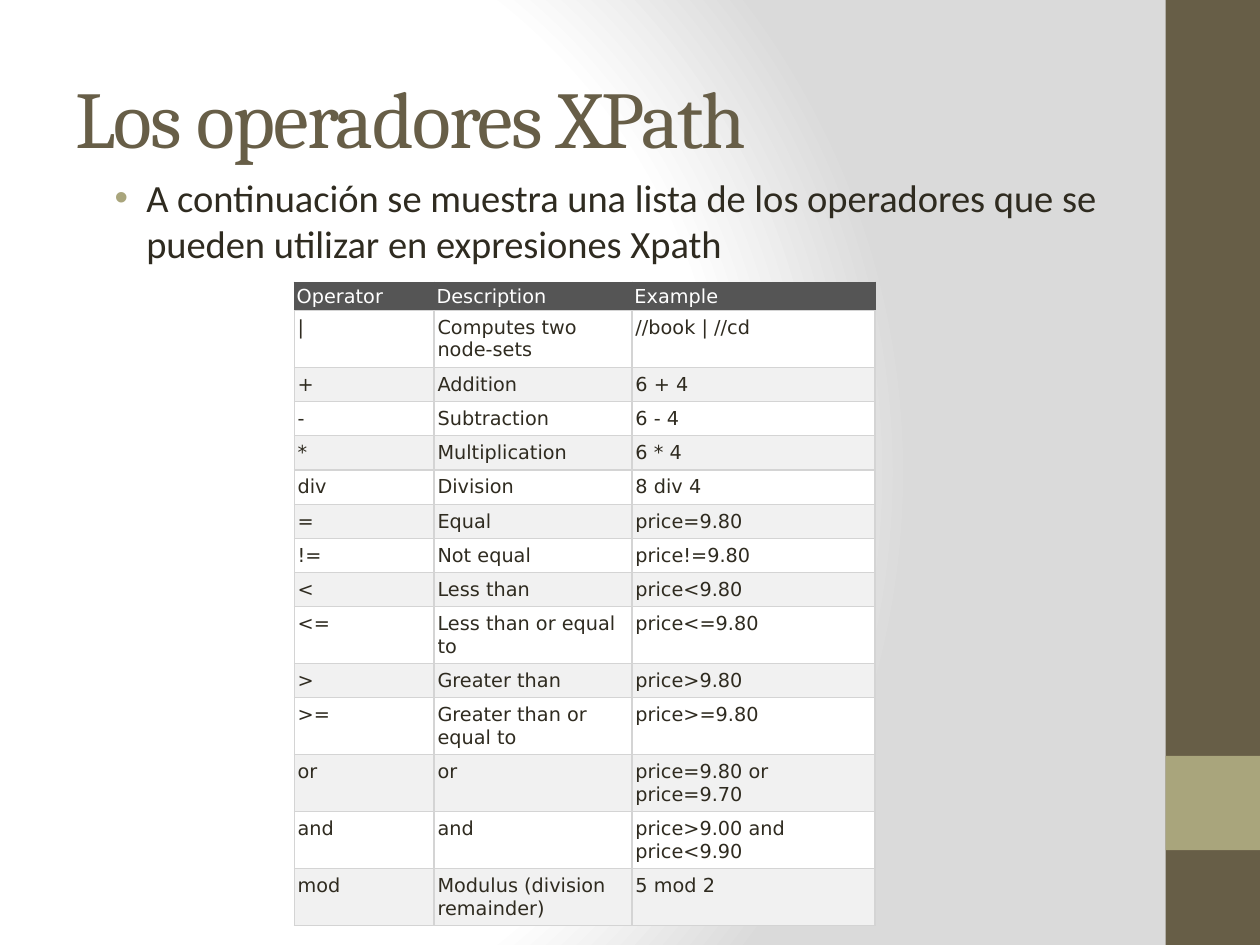
from dataclasses import dataclass

from pptx import Presentation
from pptx.dml.color import RGBColor
from pptx.enum.shapes import MSO_SHAPE
from pptx.enum.text import MSO_ANCHOR
from pptx.oxml import parse_xml
from pptx.oxml.ns import nsdecls, qn
from pptx.util import Cm, Pt

RECT = MSO_SHAPE.RECTANGLE
TOP, MIDDLE = MSO_ANCHOR.TOP, MSO_ANCHOR.MIDDLE


@dataclass(frozen=True)
class Theme:
    brown: str = "675E47"
    olive: str = "A9A57C"
    ink: str = "2F2B20"
    white: str = "FFFFFF"
    backdrop: str = "DADADA"
    header: str = "555555"
    band: str = "F1F1F1"
    border: str = "D4D4D4"
    title_font: str = "Cambria"
    body_font: str = "Calibri"
    table_font: str = "DejaVu Sans"
    title_size: float = 46
    body_size: float = 22
    table_size: float = 11


def xml(tag, content):
    """Parse one DrawingML element, given its opening tag and its content."""
    name = tag.split()[0]
    return parse_xml(f"<a:{tag} {nsdecls('a')}>{content}</a:{name}>")


def color_xml(color):
    return f'<a:srgbClr val="{color}"/>'


class SlideBuilder:
    def __init__(self, slide, theme):
        self.s = slide
        self.theme = theme

    def background(self, stops):
        self.s.background.fill.gradient()
        grad = self.s.element.find(".//" + qn("a:gradFill"))
        for child in list(grad):
            grad.remove(child)
        grad.append(xml("gsLst", "".join(
            f'<a:gs pos="{pos * 1000}">{color_xml(color)}</a:gs>'
            for pos, color in stops)))
        grad.append(xml('path path="circle"',
                        '<a:fillToRect l="20000" t="50000" r="100000" b="50000"/>'))

    def block(self, box, color):
        sp = self.s.shapes.add_shape(RECT, *map(Cm, box))
        sp.shadow.inherit = False
        sp.fill.solid()
        sp.fill.fore_color.rgb = RGBColor.from_string(color)
        sp.line.fill.background()

    def format_runs(self, p, font, size, color):
        for r in p.runs:
            r.font.name = font
            r.font.size = Pt(size)
            r.font.color.rgb = RGBColor.from_string(color)

    def text(self, box, text, font, size, color, anchor=TOP):
        tf = self.s.shapes.add_textbox(*map(Cm, box)).text_frame
        tf.word_wrap = True
        tf.vertical_anchor = anchor
        tf.text = text
        p = tf.paragraphs[0]
        self.format_runs(p, font, size, color)
        return p

    def title(self, box, text):
        t = self.theme
        p = self.text(box, text, t.title_font, t.title_size, t.brown, MIDDLE)
        p.runs[0].font._element.set("spc", "-100")

    def bullet(self, box, text):
        t = self.theme
        p = self.text(box, text, t.body_font, t.body_size, t.ink)
        pPr = p._p.get_or_add_pPr()
        pPr.set("marL", str(Cm(0.95)))
        pPr.set("indent", str(Cm(-0.64)))
        pPr.append(xml("spcBef", '<a:spcPct val="20000"/>'))
        pPr.append(xml("buClr", color_xml(t.olive)))
        pPr.append(xml('buFont typeface="Arial"', ""))
        pPr.append(xml('buChar char="•"', ""))

    def cell(self, cell, text, color, fill, insets, side_color):
        t = self.theme
        cell.text = text
        self.format_runs(cell.text_frame.paragraphs[0], t.table_font, t.table_size, color)
        side, top, bottom = map(Cm, insets)
        cell.margin_left = cell.margin_right = side
        cell.margin_top, cell.margin_bottom = top, bottom
        cell.fill.solid()
        cell.fill.fore_color.rgb = RGBColor.from_string(fill)
        tcPr = cell._tc.get_or_add_tcPr()
        for i, edge in enumerate("LRTB"):
            line = t.border if edge == "B" else side_color
            tcPr.insert(i, xml(f'ln{edge} w="{Pt(0.75)}"',
                               f"<a:solidFill>{color_xml(line)}</a:solidFill>"))

    def table(self, left, top, widths, heights, rows):
        t = self.theme
        table = self.s.shapes.add_table(
            len(rows), len(widths), Cm(left), Cm(top),
            Cm(sum(widths)), Cm(sum(heights))).table
        for column, width in zip(table.columns, widths):
            column.width = Cm(width)
        for i, (row, height, texts) in enumerate(zip(table.rows, heights, rows)):
            row.height = Cm(height)
            if i == 0:
                style = t.white, t.header, (0.05, 0.06, 0.03), t.header
            else:
                fill = t.white if i % 2 else t.band
                style = t.ink, fill, (0.07, 0.12, 0.08), t.border
            for cell, text in zip(row.cells, texts):
                self.cell(cell, text, *style)


OPERATORS = [
    ("Operator", "Description", "Example"),
    ("|", "Computes two node-sets", "//book | //cd"),
    ("+", "Addition", "6 + 4"),
    ("-", "Subtraction", "6 - 4"),
    ("*", "Multiplication", "6 * 4"),
    ("div", "Division", "8 div 4"),
    ("=", "Equal", "price=9.80"),
    ("!=", "Not equal", "price!=9.80"),
    ("<", "Less than", "price<9.80"),
    ("<=", "Less than or equal to", "price<=9.80"),
    (">", "Greater than", "price>9.80"),
    (">=", "Greater than or equal to", "price>=9.80"),
    ("or", "or", "price=9.80 or price=9.70"),
    ("and", "and", "price>9.00 and price<9.90"),
    ("mod", "Modulus (division remainder)", "5 mod 2"),
]
WRAP_LENGTH = 18  # longer cell texts take two lines


def main():
    prs = Presentation()
    prs.slide_width, prs.slide_height = Cm(25.4), Cm(19.05)
    theme = Theme()
    b = SlideBuilder(prs.slides.add_slide(prs.slide_layouts[6]), theme)

    # Background and side bar
    b.background([(0, theme.white), (75, theme.white), (100, theme.backdrop)])
    b.block((23.5, 0, 1.9, 19.05), theme.brown)
    b.block((23.5, 15.24, 1.9, 1.9), theme.olive)

    # Title and introduction
    b.title((1.27, 0.76, 21.16, 3.18), "Los operadores XPath")
    b.bullet((1.75, 3.38, 21.9, 12.09),
             "A continuación se muestra una lista de los operadores "
             "que se pueden utilizar en expresiones Xpath")

    # Operator table
    heights = [0.57] + [1.15 if max(map(len, row)) > WRAP_LENGTH else 0.69
                        for row in OPERATORS[1:]]
    b.table(5.93, 5.69, (2.82, 3.99, 4.9), heights, OPERATORS)

    prs.save("out.pptx")


if __name__ == "__main__":
    main()
